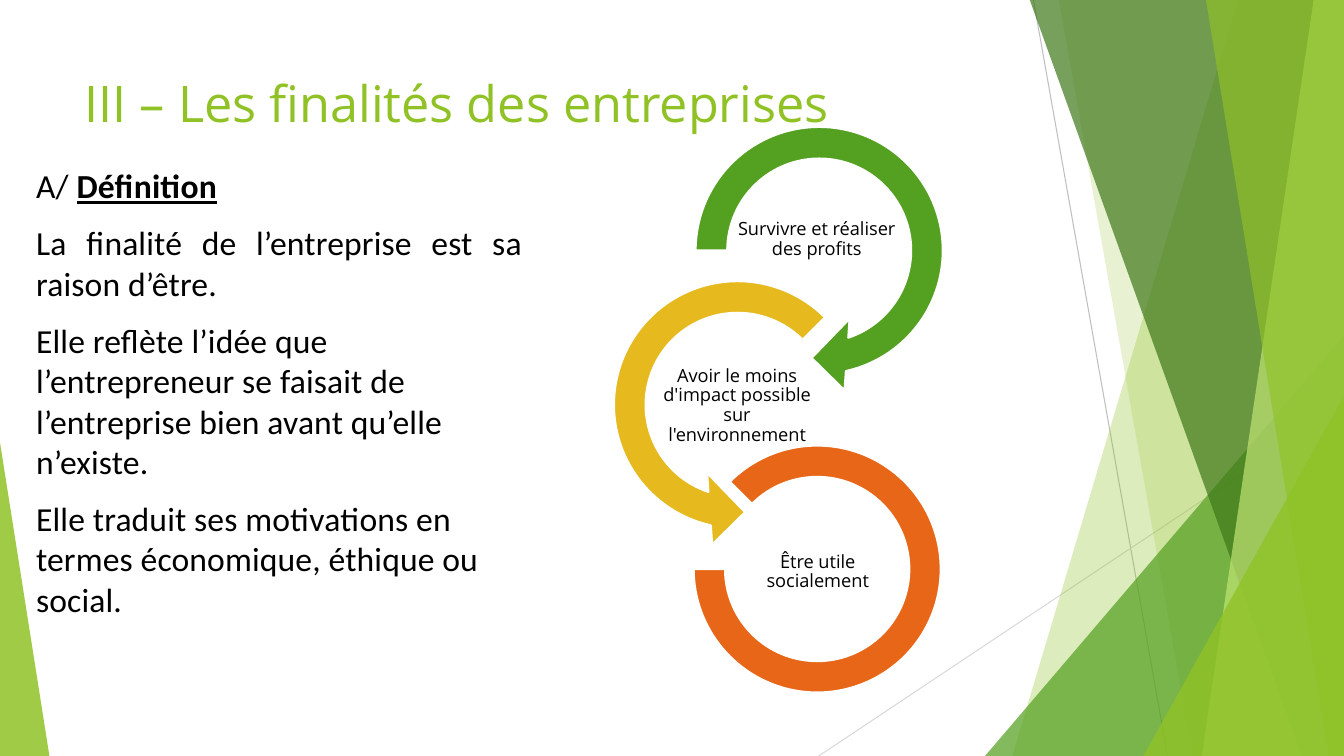
from dataclasses import dataclass

from lxml import etree
from pptx import Presentation
from pptx.dml.color import RGBColor
from pptx.enum.shapes import MSO_CONNECTOR, MSO_SHAPE
from pptx.enum.text import MSO_ANCHOR, MSO_AUTO_SIZE, PP_ALIGN
from pptx.oxml.ns import qn
from pptx.util import Inches, Pt

COLORS = {
    "lime": "90C226", "pale": "C0E474", "green": "54A021", "forest": "3F7819",
    "yellow": "E6B91E", "orange": "E76618", "black": "000000", "white": "FFFFFF",
    "grey": "BFBFBF", "light_grey": "D9D9D9",
}
WIDTH, HEIGHT = 13.33, 7.5
TOP = -0.01
HEADING_FONT, BODY_FONT = "Open Sans", "Calibri"


@dataclass
class Ray:
    """A decorative line."""
    start: tuple[float, float]
    end: tuple[float, float]
    color: str


@dataclass
class Band:
    """A translucent band from its top and bottom left corners to the right edge."""
    top_x: float
    bottom_x: float
    color: str
    alpha: int


@dataclass
class Corner:
    """A translucent right triangle standing on the bottom edge."""
    left: float
    top: float
    width: float
    apex: int
    color: str
    alpha: int


@dataclass
class Goal:
    """A ring of the chain and its caption."""
    kind: MSO_SHAPE
    left: float
    top: float
    size: float
    adjustments: tuple[float, ...]
    color: str
    text: str
    text_left: float
    text_top: float


@dataclass
class Para:
    """A body paragraph made of (text, emphasised) runs."""
    runs: list[tuple[str, bool]]
    align: PP_ALIGN = PP_ALIGN.LEFT


RAYS = [
    Ray((10.25, 0), (11.58, HEIGHT), "grey"),
    Ray((WIDTH, 4.03), (8.12, HEIGHT), "light_grey"),
]
DECOR = [
    Band(12.28, 10.04, "lime", 30),
    Band(10.5, 11.83, "lime", 20),
    Corner(9.77, 3.33, 3.56, 1, "green", 72),
    Band(10.21, 12.91, "forest", 70),
    Band(13.03, 11.92, "pale", 70),
    Band(11.96, 13.18, "lime", 65),
    Corner(11.34, 3.93, 1.99, 1, "lime", 80),
    Corner(0, 4.39, 0.49, 0, "lime", 85),
]
GOALS = [
    Goal(MSO_SHAPE.CIRCULAR_ARROW, 6.7, 1.06, 2.85, (0.11, 11.42, 45, 108, 0.125),
         "green", "Survivre et réaliser des profits", 7.31, 1.98),
    Goal(MSO_SHAPE.LEFT_CIRCULAR_ARROW, 5.89, 2.59, 2.85, (0.11, 11.42, 63, 189, 0.125),
         "yellow", "Avoir le moins d'impact possible sur l'environnement", 6.52, 3.63),
    Goal(MSO_SHAPE.BLOCK_ARC, 6.88, 4.42, 2.45, (135, 108, 0.127),
         "orange", "Être utile socialement", 7.32, 5.28),
]
BODY = [
    Para([("A/ ", False), ("Définition", True)], PP_ALIGN.JUSTIFY),
    Para([("La finalité de l’entreprise est sa raison d’être.", False)], PP_ALIGN.JUSTIFY),
    Para([("Elle reflète l’idée que l’entrepreneur se faisait de l’entreprise "
           "bien avant qu’elle n’existe.", False)]),
    Para([("Elle traduit ses motivations en termes économique, éthique ou social.", False)]),
]


def rgb(name: str) -> RGBColor:
    """Look up a named colour."""
    return RGBColor.from_string(COLORS[name])


def paint(sp, color: str, alpha: int = 100) -> None:
    """Fill a shape without shadow or outline, with an opacity in percent."""
    sp.shadow.inherit = False
    sp.line.fill.background()
    sp.fill.solid()
    sp.fill.fore_color.rgb = rgb(color)
    if alpha < 100:
        clr = sp._element.spPr.find(qn("a:solidFill")).find(qn("a:srgbClr"))
        etree.SubElement(clr, qn("a:alpha")).set("val", str(alpha * 1000))


def add_run(p, text: str, font: str, size: float, color: str):
    """Append a formatted run to a paragraph."""
    r = p.add_run()
    r.text = text
    r.font.name, r.font.size = font, Pt(size)
    r.font.color.rgb = rgb(color)
    return r


def add_ray(s, ray: Ray) -> None:
    """Draw a thin decorative line."""
    line = s.shapes.add_connector(MSO_CONNECTOR.STRAIGHT,
                                  *(Inches(v) for v in ray.start + ray.end))
    line.line.color.rgb = rgb(ray.color)
    line.line.width = Pt(0.75)
    etree.SubElement(line._element.spPr, qn("a:effectLst"))


def add_decor(s, item: Band | Corner) -> None:
    """Draw a band or a corner triangle."""
    if isinstance(item, Band):
        outline = [(item.top_x, TOP), (WIDTH, TOP), (WIDTH, HEIGHT), (item.bottom_x, HEIGHT)]
        points = [(Inches(x), Inches(y)) for x, y in outline]
        builder = s.shapes.build_freeform(*points[0])
        builder.add_line_segments(points[1:], close=True)
        sp = builder.convert_to_shape()
    else:
        sp = s.shapes.add_shape(MSO_SHAPE.ISOSCELES_TRIANGLE, Inches(item.left), Inches(item.top),
                                Inches(item.width), Inches(HEIGHT - item.top))
        sp.adjustments[0] = item.apex
    paint(sp, item.color, item.alpha)


def add_title(s, text: str) -> None:
    """Place and format the title placeholder."""
    title = s.shapes.title
    title.left, title.top = Inches(0.74), Inches(0.67)
    title.width, title.height = Inches(9.4), Inches(1.44)
    tf = title.text_frame
    tf.auto_size, tf.vertical_anchor = MSO_AUTO_SIZE.NONE, MSO_ANCHOR.TOP
    p = tf.paragraphs[0]
    p.alignment = PP_ALIGN.LEFT
    add_run(p, text, HEADING_FONT, 36, "lime")


def add_body(s, paras: list[Para]) -> None:
    """Write the definition text."""
    tf = s.shapes.add_textbox(Inches(0.26), Inches(1.59), Inches(5.02), Inches(4.64)).text_frame
    tf.word_wrap, tf.auto_size = True, MSO_AUTO_SIZE.SHAPE_TO_FIT_TEXT
    for i, para in enumerate(paras):
        p = tf.add_paragraph() if i else tf.paragraphs[0]
        p.alignment = para.align
        p.space_before = p.space_after = Pt(6)
        for text, strong in para.runs:
            r = add_run(p, text, BODY_FONT, 24, "black")
            r.font.bold = r.font.underline = strong
            r._r.get_or_add_rPr().set("spc", "10")


def add_goal(s, goal: Goal) -> None:
    """Draw a ring and its centred caption."""
    sp = s.shapes.add_shape(goal.kind, Inches(goal.left), Inches(goal.top),
                            Inches(goal.size), Inches(goal.size))
    for i, value in enumerate(goal.adjustments):
        sp.adjustments[i] = value
    paint(sp, goal.color)
    sp.line.color.rgb, sp.line.width = rgb("white"), Pt(1.5)
    tf = s.shapes.add_textbox(Inches(goal.text_left), Inches(goal.text_top),
                              Inches(1.58), Inches(0.79)).text_frame
    tf.word_wrap, tf.vertical_anchor = True, MSO_ANCHOR.MIDDLE
    tf.margin_left = tf.margin_right = tf.margin_top = tf.margin_bottom = Inches(0.01)
    p = tf.paragraphs[0]
    p.alignment, p.line_spacing = PP_ALIGN.CENTER, 0.9
    add_run(p, goal.text, HEADING_FONT, 13, "black")


prs = Presentation()
prs.slide_width, prs.slide_height = Inches(WIDTH), Inches(HEIGHT)
s = prs.slides.add_slide(prs.slide_layouts[5])
for ray in RAYS:
    add_ray(s, ray)
for item in DECOR:
    add_decor(s, item)
add_title(s, "III – Les finalités des entreprises")
add_body(s, BODY)
for goal in GOALS:
    add_goal(s, goal)
prs.save("out.pptx")
